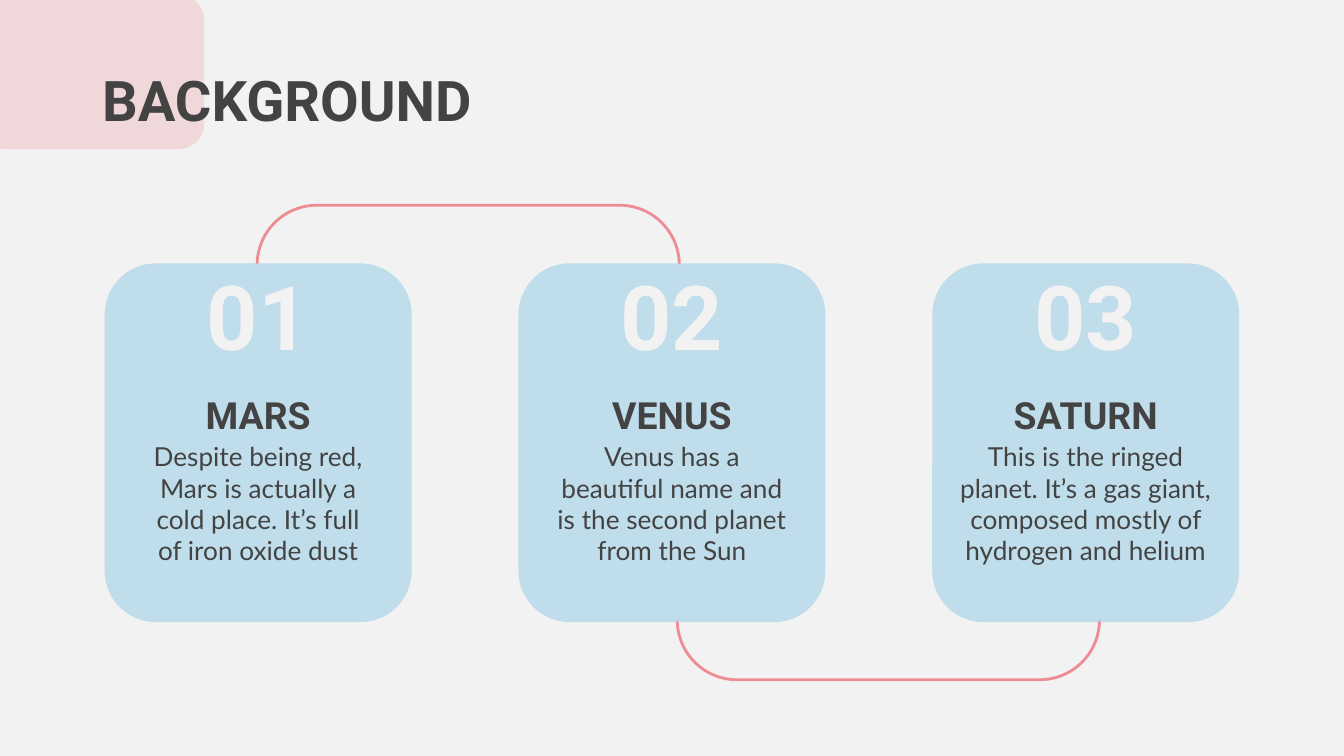
from lxml import etree
from pptx import Presentation
from pptx.dml.color import RGBColor
from pptx.enum.shapes import MSO_SHAPE
from pptx.enum.text import MSO_ANCHOR, MSO_AUTO_SIZE, PP_ALIGN
from pptx.oxml.ns import qn
from pptx.util import Cm, Pt

RECT, ROUND = MSO_SHAPE.RECTANGLE, MSO_SHAPE.ROUNDED_RECTANGLE
TOP, BOTTOM = MSO_ANCHOR.TOP, MSO_ANCHOR.BOTTOM
LEFT, CENTER = PP_ALIGN.LEFT, PP_ALIGN.CENTER
FIXED = MSO_AUTO_SIZE.NONE

PAPER = RGBColor(0xF2, 0xF2, 0xF2)
PINK = RGBColor(0xEE, 0x8C, 0x94)
BLUE = RGBColor(0xAE, 0xD7, 0xE8)
INK = RGBColor(0x43, 0x43, 0x43)

# Each text style: font values and ink
TITLE = {"name": "Roboto", "size": Pt(30), "bold": True}, INK
NUMBER = {"name": "Roboto", "size": Pt(48), "bold": True}, PAPER
HEAD = {"name": "Roboto", "size": Pt(20), "bold": True}, INK
BODY = {"name": "Lato", "size": Pt(14), "bold": False}, INK

CARD_X, CARD_Y, CARD_W, CARD_H, STEP = 1.98, 4.98, 5.8, 6.78, 7.82
LINK_W, LINK_H = 7.98, 6.78
MASK_W, MASK_H = 9.42, 6.17

# Name, text, width of the text box
PLANETS = [
    ("MARS", "Despite being red, Mars is actually a cold place. "
             "It’s full of iron oxide dust", 4.9),
    ("VENUS", "Venus has a beautiful name and is the second planet "
              "from the Sun", 5.06),
    ("SATURN", "This is the ringed planet. It’s a gas giant, composed "
               "mostly of hydrogen and helium", 5.46),
]


class Deck:
    def __init__(self):
        self.prs = Presentation()
        self.prs.slide_width, self.prs.slide_height = Cm(25.4), Cm(14.29)
        self.slide = self.prs.slides.add_slide(self.prs.slide_layouts[5])
        fill = self.slide.background.fill
        fill.solid()
        fill.fore_color.rgb = PAPER

    def shape(self, kind, box, fill=None, alpha=100, line=None):
        item = self.slide.shapes.add_shape(kind, *map(Cm, box))
        item.shadow.inherit = False
        if fill is None:
            item.fill.background()
        else:
            item.fill.solid()
            item.fill.fore_color.rgb = fill
        if alpha < 100:
            tint = item.element.spPr.find(qn("a:solidFill"))[0]
            etree.SubElement(tint, qn("a:alpha"), val=str(alpha * 1000))
        if line is None:
            item.line.fill.background()
        else:
            item.line.color.rgb = line
            item.line.width = Pt(1.5)
        return item

    def set_text(self, item, text, style, align, anchor):
        frame = item.text_frame
        form = {"word_wrap": True, "auto_size": FIXED,
                "vertical_anchor": anchor}
        for side in ("left", "top", "right", "bottom"):
            form["margin_" + side] = Cm(0.25)
        for key, value in form.items():
            setattr(frame, key, value)
        frame.text = text
        para = frame.paragraphs[0]
        para.alignment = align
        font, ink = style
        for key, value in font.items():
            setattr(para.font, key, value)
        para.font.color.rgb = ink

    def title(self, text, box):
        item = self.slide.shapes.title
        for key, value in zip(("left", "top", "width", "height"), box):
            setattr(item, key, Cm(value))
        self.set_text(item, text, TITLE, LEFT, TOP)

    def label(self, text, mid, top, width, height, style, anchor=BOTTOM):
        """Add a text box centred on the line x = mid."""
        box = mid - width / 2, top, width, height
        item = self.slide.shapes.add_textbox(*map(Cm, box))
        self.set_text(item, text, style, CENTER, anchor)

    def corner(self, box):
        """Add the tinted block behind the title."""
        item = self.shape(ROUND, box, PINK, 25)
        self.slide.shapes.element.insert(2, item.element)

    def link(self, left, top, mask_x, mask_y):
        """Add a rounded outline and hide all but one end of it."""
        self.shape(ROUND, (left, top, LINK_W, LINK_H), line=PINK)
        self.shape(RECT, (mask_x, mask_y, MASK_W, MASK_H), PAPER)

    def card(self, index, name, text, width):
        left = CARD_X + index * STEP
        mid = left + CARD_W / 2
        self.shape(ROUND, (left, CARD_Y, CARD_W, CARD_H), BLUE, 74)
        self.label(f"{index + 1:02}", mid, 5.61, 4.34, 1.6, NUMBER)
        self.label(name, mid, 6.91, 5.05, 1.6, HEAD)
        self.label(text, mid, 8.08, width, 2.44, BODY, TOP)


def main():
    deck = Deck()
    deck.corner((-0.36, -0.1, 4.22, 2.92))
    deck.title("BACKGROUND", (1.68, 0.99, 9.42, 2.08))
    deck.link(12.8, 6.07, 11.96, 5.56)
    deck.link(4.86, 3.88, 4.24, 5)
    for index, planet in enumerate(PLANETS):
        deck.card(index, *planet)
    deck.prs.save("out.pptx")


if __name__ == "__main__":
    main()
